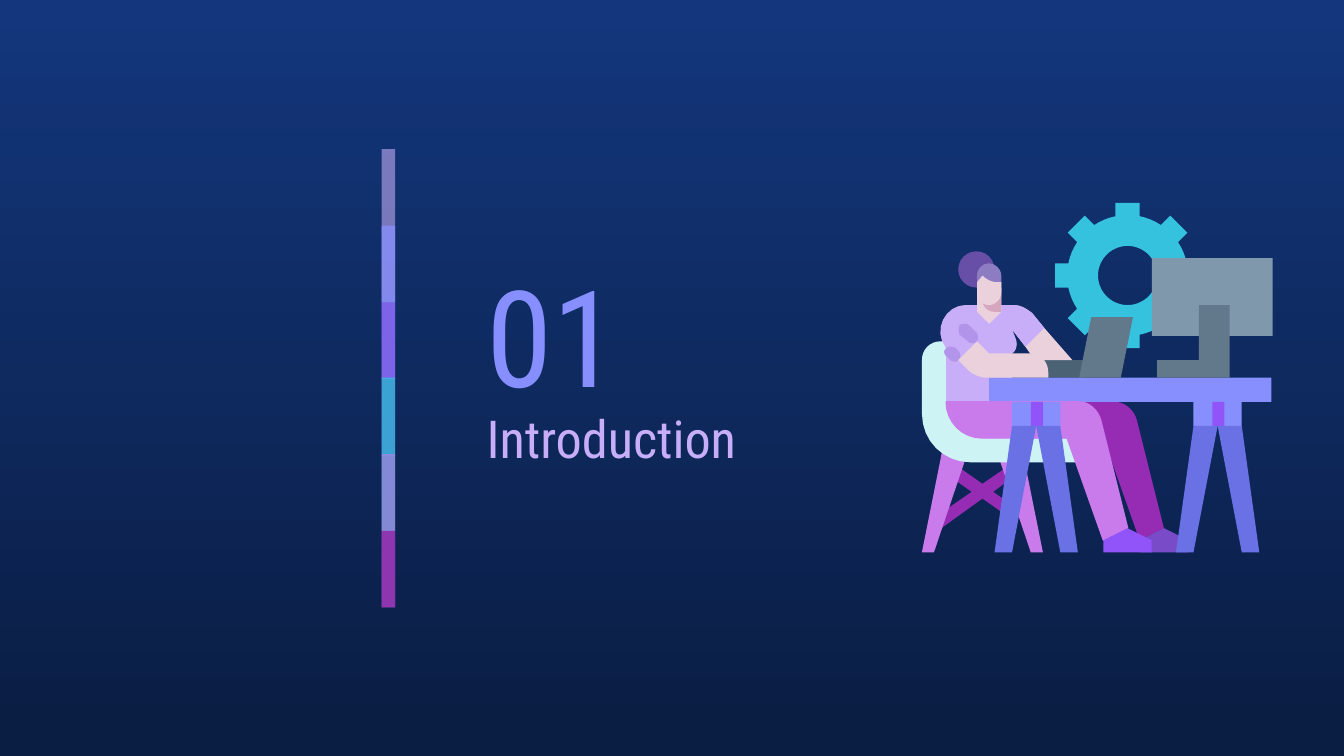
from math import cos, pi, radians, sin, sqrt

from lxml import etree
from pptx import Presentation
from pptx.dml.color import RGBColor
from pptx.enum.shapes import MSO_SHAPE
from pptx.enum.text import MSO_ANCHOR, MSO_AUTO_SIZE, PP_ALIGN
from pptx.oxml.ns import qn
from pptx.util import Inches, Pt

RECT, OVAL = MSO_SHAPE.RECTANGLE, MSO_SHAPE.OVAL
TOP, MIDDLE = MSO_ANCHOR.TOP, MSO_ANCHOR.MIDDLE
LEFT, FIXED = PP_ALIGN.LEFT, MSO_AUTO_SIZE.NONE

PX = 9144  # 100 px to the inch
FONT = "Roboto Condensed"

SKY = RGBColor(0x13, 0x36, 0x7C)
NIGHT = RGBColor(0x0A, 0x1D, 0x42)
LILAC = RGBColor(0xC8, 0xAE, 0xF8)
BLUE = RGBColor(0x87, 0x8F, 0xFF)
VIOLET = RGBColor(0x91, 0x54, 0xF8)
CYAN = RGBColor(0x35, 0xC2, 0xDF)
PINK = RGBColor(0xCA, 0x7B, 0xEB)
PLUM = RGBColor(0x97, 0x2C, 0xB4)
INDIGO = RGBColor(0x69, 0x71, 0xE5)
GRAPE = RGBColor(0x79, 0x4B, 0xC8)
MAUVE = RGBColor(0xB3, 0x94, 0xEB)
ICE = RGBColor(0xCE, 0xF3, 0xF5)
SKIN = RGBColor(0xEA, 0xD1, 0xDC)
SHADE = RGBColor(0xD5, 0xA6, 0xBD)
BUN = RGBColor(0x67, 0x4E, 0xA7)
HAIR = RGBColor(0x8E, 0x7C, 0xC3)
SLATE = RGBColor(0x4B, 0x62, 0x75)
STEEL = RGBColor(0x62, 0x79, 0x8C)
SILVER = RGBColor(0x80, 0x98, 0xAB)


def trace(steps, parts=8):
    """Flatten steps: a pair is a corner, six numbers are a Bezier curve."""
    points = []
    for step in steps:
        if len(step) == 2:
            points.append(step)
            continue
        knots = [points[-1], step[:2], step[2:4], step[4:]]
        for i in range(1, parts + 1):
            t = i / parts
            mix = ((1 - t) ** 3, 3 * t * (1 - t) ** 2, 3 * t * t * (1 - t), t ** 3)
            points.append(tuple(sum(m * k[axis] for m, k in zip(mix, knots))
                                for axis in (0, 1)))
    return points


class Canvas:
    def __init__(self, slide, font):
        self.slide, self.font = slide, font

    def paint(self, shape, color, opaque=100, line=0):
        shape.shadow.inherit = False
        shape.fill.solid()
        shape.fill.fore_color.rgb = color
        if opaque < 100:
            tint = shape.element.spPr.find(".//" + qn("a:srgbClr"))
            etree.SubElement(tint, qn("a:alpha")).set("val", str(opaque * 1000))
        if line:
            shape.line.color.rgb, shape.line.width = color, Pt(line)
        else:
            shape.line.fill.background()

    def block(self, x, y, w, h, color, kind=RECT, **look):
        box = [PX * v for v in (x, y, w, h)]
        self.paint(self.slide.shapes.add_shape(kind, *box), color, **look)

    def form(self, color, *rings, **look):
        """Draw one filled outline; further rings cut holes in it."""
        pen = None
        for ring in rings:
            (x, y), *rest = [(PX * x, PX * y) for x, y in trace(ring)]
            if pen is None:
                pen = self.slide.shapes.build_freeform(x, y, scale=1.0)
            else:
                pen.move_to(x, y)
            pen.add_line_segments(rest, close=True)
        self.paint(pen.convert_to_shape(), color, **look)

    def text(self, shape, words, box, size, color, anchor=MIDDLE, pad=10):
        shape.left, shape.top, shape.width, shape.height = [PX * v for v in box]
        frame = shape.text_frame
        frame.word_wrap, frame.auto_size = True, FIXED
        frame.vertical_anchor = anchor
        frame.margin_left = frame.margin_right = 10 * PX
        frame.margin_top = frame.margin_bottom = pad * PX
        line = frame.paragraphs[0]
        line.alignment = LEFT
        run = line.add_run()
        run.text = words
        run.font.name, run.font.size = self.font, Pt(size)
        run.font.color.rgb = color

    def gear(self, x, y, color):
        body, tip, half, hole = 45, 54, 9, 22
        root = sqrt(body ** 2 - half ** 2)
        rim = []
        for k in range(8):
            turn = k * pi / 4
            for r, side in ((root, -half), (tip, -half), (tip, half), (root, half)):
                rim.append((x + r * cos(turn) - side * sin(turn),
                            y + r * sin(turn) + side * cos(turn)))
            for deg in (17, 22.5, 28):
                a = turn + radians(deg)
                rim.append((x + body * cos(a), y + body * sin(a)))
        ring = [(x + hole * cos(radians(a)), y - hole * sin(radians(a)))
                for a in range(0, 360, 6)]
        self.form(color, rim, ring)

    def leg(self, x, color, shoe, **look):
        """Draw a bent leg with its shoe, from the hip at x."""
        self.form(color, [(x, 299), (x, 314, x + 12, 326, x + 27, 326),
                          (x + 90, 326), (x + 117, 402), (x + 135, 393),
                          (x + 115, 313),
                          (x + 113, 305, x + 106, 299, x + 98, 299)], **look)
        self.form(shoe, [(x + 135, 393), (x + 117, 402), (x + 117, 411),
                         (x + 153, 411), (x + 153, 402)])

    def trestle(self, x):
        self.block(x - 18, 299, 36, 18, BLUE)
        self.block(x - 4, 299, 9, 18, VIOLET)
        for s in (-1, 1):
            self.form(INDIGO, [(x + 18 * s, 317), (x + 31 * s, 411),
                               (x + 18 * s, 411), (x, 317)])

    def chair(self):
        self.form(PLUM, [(711, 346), (706, 354), (723, 366), (694, 386),
                         (699, 394), (731, 371), (748, 383), (753, 376),
                         (739, 366), (755, 354), (750, 347), (731, 360)])
        for s in (1, -1):
            self.form(PINK, [(731 + dx * s, y) for dx, y in
                             ((9, 331), (36, 411), (45, 411), (29, 331))])
        self.form(ICE, [(700, 254), (692, 254, 686, 260, 686, 268), (686, 308),
                        (686, 328, 702, 344, 722, 344), (807, 344), (807, 322),
                        (731, 322), (719, 322, 709, 312, 709, 299), (709, 254)])

    def torso(self):
        side = [(719, 227), (703, 227, 694, 246, 704, 259), (704, 299), (753, 299),
                (753, 263), (756, 261, 757, 257, 756, 253), (753, 245), (763, 258)]
        arm = [(770, 268), (798, 268)]
        neck = [(777, 244), (768, 233), (764, 230, 760, 227, 754, 227)]
        self.form(SKIN, side + arm + neck)
        self.form(LILAC, side + neck)

    def front(self):
        """Draw the folds, the neck and the near arm."""
        self.form(MAUVE, [(707, 258), (706, 258, 705, 258, 704, 259),
                          (702, 261, 702, 263, 704, 265), (707, 268),
                          (708, 269, 712, 270, 713, 268),
                          (715, 266, 715, 263, 713, 261), (711, 259),
                          (710, 258, 708, 258, 707, 258)])
        self.form(MAUVE, [(718, 241), (717, 241, 715, 241, 714, 242),
                          (713, 244, 713, 247, 714, 249), (720, 254),
                          (722, 256, 725, 256, 727, 254),
                          (728, 253, 728, 250, 727, 248), (721, 242),
                          (720, 241, 719, 241, 718, 241)])
        self.form(SKIN, [(727, 214), (727, 232), (736, 241), (745, 232), (745, 214)])
        self.form(SKIN, [(727, 254), (713, 268), (721, 276),
                         (725, 279, 729, 281, 734, 281), (780, 281), (780, 277),
                         (780, 269, 774, 263, 767, 263), (736, 263)])

    def head(self):
        self.form(SHADE, [(731, 214), (731, 223), (731, 228, 735, 232, 740, 232),
                          (745, 232), (745, 214)])
        self.block(713, 187, 27, 27, BUN, OVAL)
        self.form(HAIR, [(736, 196), (731, 196, 727, 200, 727, 205), (727, 214),
                         (745, 214), (745, 205), (745, 200, 740, 196, 736, 196)])
        self.form(SKIN, [(731, 205), (727, 210), (727, 218),
                         (727, 223, 731, 227, 736, 227),
                         (740, 227, 745, 223, 745, 218), (745, 210), (742, 210),
                         (738, 210, 734, 208, 731, 205)])


def main():
    deck = Presentation()
    deck.slide_width = Inches(10)
    deck.slide_height = deck.slide_width * 9 // 16
    slide = deck.slides.add_slide(deck.slide_layouts[5])
    art = Canvas(slide, FONT)

    back = slide.background.fill
    back.gradient()
    back.gradient_angle = 270
    for stop, color in zip(back.gradient_stops, (SKY, NIGHT)):
        stop.color.rgb = color

    bars = ((LILAC, 58), (BLUE, 74), (VIOLET, 53), (CYAN, 76), (PINK, 56), (PLUM, 74))
    for i, (color, opaque) in enumerate(bars):
        y = 111 + round(56.8 * i)
        art.block(284, y, 10, min(114, 452 - y), color, opaque=opaque)

    art.text(slide.shapes.add_textbox(0, 0, PX, PX), "01", (352, 181, 175, 135),
             72, BLUE)
    art.text(slide.shapes.title, "Introduction", (352, 302, 287, 67),
             28, LILAC, anchor=TOP, pad=0)

    art.gear(839, 205, CYAN)
    art.block(776, 268, 31, 13, SLATE)
    art.chair()
    art.leg(731, PLUM, GRAPE)
    art.torso()
    art.block(736, 281, 210, 18, BLUE)
    art.front()
    art.form(STEEL, [(812, 236), (803, 281), (834, 281), (843, 236)])
    art.leg(704, PINK, VIOLET, line=0.75)
    art.block(857, 192, 90, 58, SILVER)
    art.form(STEEL, [(892, 227), (892, 268), (861, 268), (861, 281),
                     (915, 281), (915, 227)])
    for x in (906, 771):
        art.trestle(x)
    art.head()
    deck.save("out.pptx")


if __name__ == "__main__":
    main()
